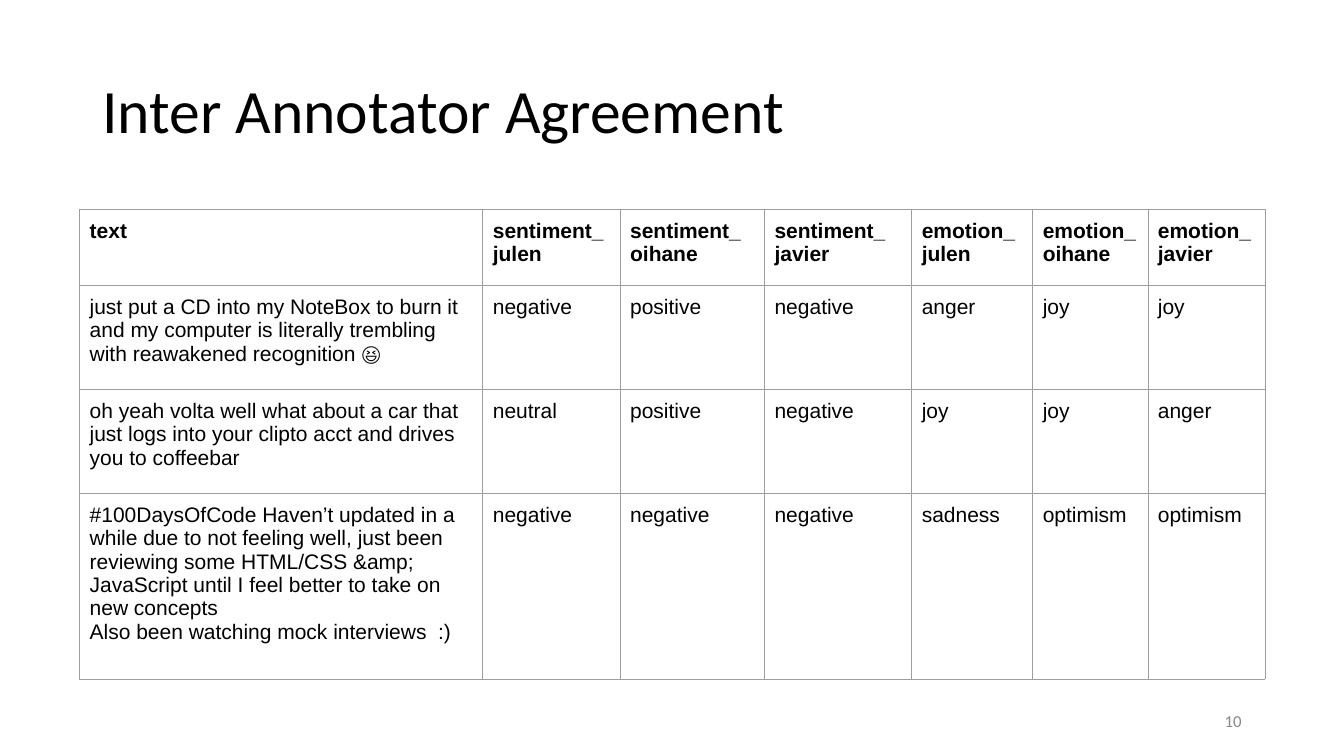
from lxml.etree import SubElement
from pptx import Presentation
from pptx.dml.color import RGBColor
from pptx.enum.text import MSO_ANCHOR, PP_ALIGN
from pptx.oxml.ns import qn
from pptx.util import Cm, Pt

BLACK = RGBColor(0x00, 0x00, 0x00)
GREY = RGBColor(0x88, 0x88, 0x88)
BORDER = RGBColor(0x9E, 0x9E, 0x9E)

COLUMN_WIDTHS = [10.16, 3.46, 3.64, 3.71, 3.05, 2.9, 2.95]
ROW_HEIGHTS = [1.93, 2.62, 2.62, 4.67]
ANNOTATORS = ["julen", "oihane", "javier"]
HEADER = ["text"] + [
    f"{task}_\n{name}" for task in ("sentiment", "emotion") for name in ANNOTATORS
]
TWEETS = [
    ["just put a CD into my NoteBox to burn it and my computer is literally "
     "trembling with reawakened recognition 😆",
     "negative", "positive", "negative", "anger", "joy", "joy"],
    ["oh yeah volta well what about a car that just logs into your clipto acct "
     "and drives you to coffeebar",
     "neutral", "positive", "negative", "joy", "joy", "anger"],
    ["#100DaysOfCode Haven’t updated in a while due to not feeling well, just been "
     "reviewing some HTML/CSS &amp; JavaScript until I feel better to take on "
     "new concepts\nAlso been watching mock interviews  :)",
     "negative", "negative", "negative", "sadness", "optimism", "optimism"],
]


def write_text(frame, text, *, size, font, color=BLACK, bold=False,
               align=PP_ALIGN.LEFT, spacing=1.0):
    """Fill a text frame with one formatted paragraph per line of text."""
    frame.word_wrap = True
    frame.text = text
    for para in frame.paragraphs:
        para.alignment = align
        para.line_spacing = spacing
        for span in para.runs:
            span.font.size = Pt(size)
            span.font.name = font
            span.font.bold = bold
            span.font.color.rgb = color


def add_text(page, text, left, top, width, height, **style):
    """Add a vertically centred text box, placed in centimetres."""
    box = page.shapes.add_textbox(Cm(left), Cm(top), Cm(width), Cm(height))
    box.text_frame.vertical_anchor = MSO_ANCHOR.MIDDLE
    write_text(box.text_frame, text, **style)


def add_borders(cell):
    """Draw a thin line on all four sides of an unfilled cell."""
    properties = cell._tc.get_or_add_tcPr()
    for side in ("a:lnL", "a:lnR", "a:lnT", "a:lnB"):
        line = SubElement(properties, qn(side), w=str(Pt(0.75)))
        fill = SubElement(line, qn("a:solidFill"))
        SubElement(fill, qn("a:srgbClr"), val=str(BORDER))


def add_annotation_table(page, rows, left, top):
    """Add the bordered table with a bold header row."""
    frame = page.shapes.add_table(
        len(rows), len(COLUMN_WIDTHS), Cm(left), Cm(top),
        Cm(sum(COLUMN_WIDTHS)), Cm(sum(ROW_HEIGHTS)))
    table = frame.table
    table.first_row = table.horz_banding = False
    for column, width in zip(table.columns, COLUMN_WIDTHS):
        column.width = Cm(width)
    for row, height in zip(table.rows, ROW_HEIGHTS):
        row.height = Cm(height)
    for row_index, texts in enumerate(rows):
        for column_index, text in enumerate(texts):
            cell = table.cell(row_index, column_index)
            cell.margin_left = cell.margin_right = Cm(0.25)
            cell.margin_top = cell.margin_bottom = Cm(0.25)
            write_text(cell.text_frame, text, size=15, font="Arial",
                       bold=row_index == 0)
            add_borders(cell)
            cell.fill.background()


def main():
    """Build the slide and save it."""
    deck = Presentation()
    deck.slide_width, deck.slide_height = Cm(33.87), Cm(19.05)
    page = deck.slides.add_slide(deck.slide_layouts[6])
    add_text(page, "Inter Annotator Agreement", 2.33, 1.01, 29.21, 3.68,
             size=44, font="Calibri", spacing=0.9)
    add_text(page, "10", 23.92, 17.66, 7.62, 1.01,
             size=12, font="Calibri", color=GREY, align=PP_ALIGN.RIGHT)
    add_annotation_table(page, [HEADER] + TWEETS, 2.01, 5.27)
    deck.save("out.pptx")


if __name__ == "__main__":
    main()
